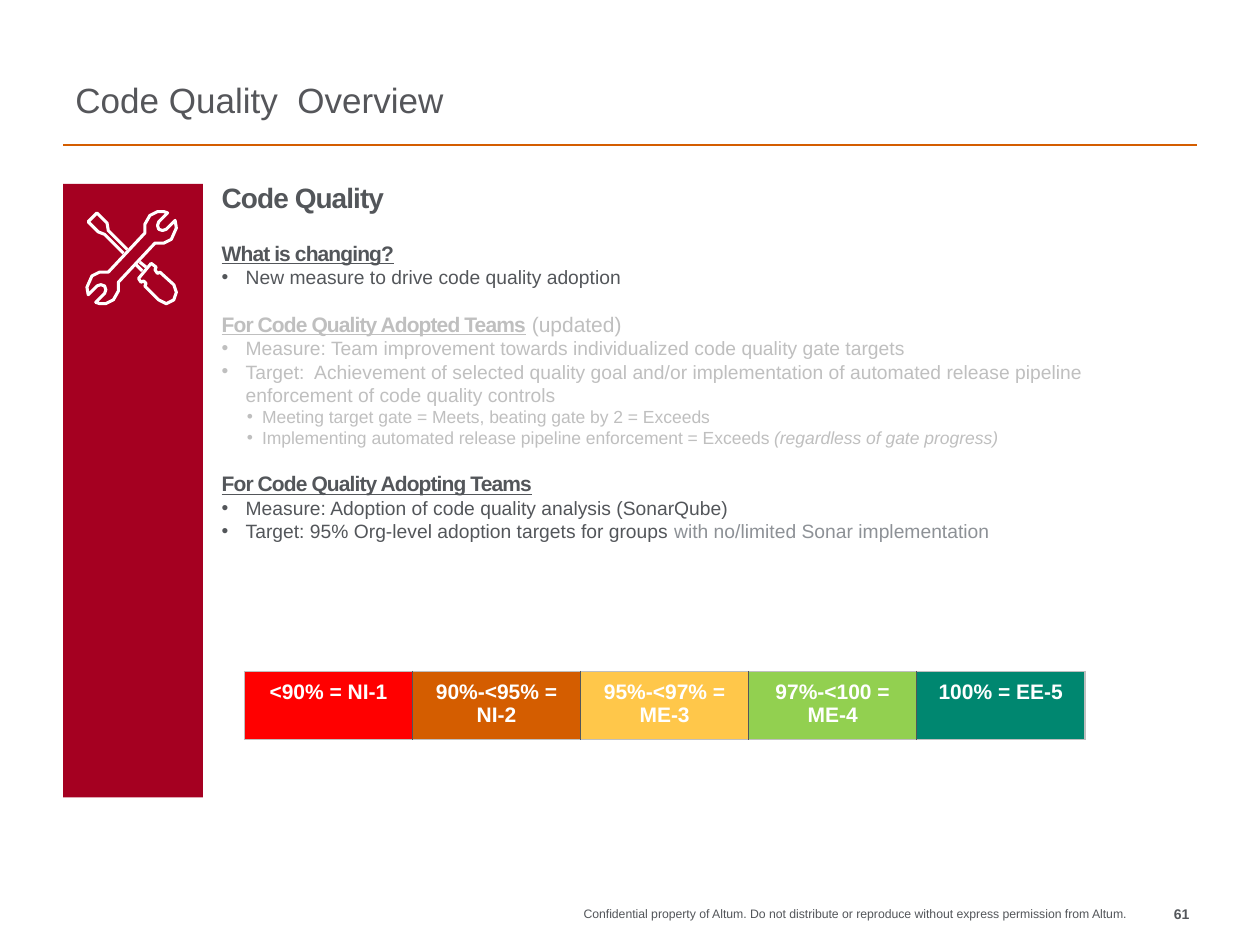
"""Build the Code Quality overview slide."""
from lxml import etree
from pptx import Presentation
from pptx.dml.color import RGBColor
from pptx.enum.shapes import MSO_CONNECTOR, MSO_SHAPE
from pptx.enum.text import MSO_ANCHOR, PP_ALIGN
from pptx.oxml.ns import qn
from pptx.util import Inches, Pt

LINE, RECT = MSO_CONNECTOR.STRAIGHT, MSO_SHAPE.RECTANGLE
LEFT, MID, RIGHT = PP_ALIGN.LEFT, PP_ALIGN.CENTER, PP_ALIGN.RIGHT
TOP, BASE = MSO_ANCHOR.TOP, MSO_ANCHOR.BOTTOM
DARK = RGBColor(0x53, 0x56, 0x5A)
TITLE = RGBColor(0x55, 0x56, 0x5A)
PALE = RGBColor(0xBF, 0xBF, 0xBF)
GREY = RGBColor(0x8D, 0x91, 0x96)
WHITE = RGBColor(0xFF, 0xFF, 0xFF)
ORANGE = RGBColor(0xD4, 0x5D, 0x00)
WINE = RGBColor(0xA5, 0x00, 0x21)
RED = RGBColor(0xFF, 0x00, 0x00)
GOLD = RGBColor(0xFF, 0xC7, 0x4A)
GREEN = RGBColor(0x92, 0xD0, 0x50)
TEAL = RGBColor(0x00, 0x87, 0x70)
FONT = "Arial"

STYLES = {
    "title": dict(size=16, bold=True, tight=True),
    "head": dict(size=12, bold=True, tight=True, line=True),
    "gap": dict(size=12, bold=True, tight=True),
    "note": dict(size=12),
    "item": dict(size=11),
    "sub": dict(size=10),
    "slant": dict(size=10, italic=True),
}
INDENTS = {"item": (0.19, -0.19), "sub": (0.32, -0.12)}
BODY = [
    [("title", "Code Quality", DARK)],
    [("head", "What is changing?", DARK)],
    [("item", "New measure to drive code quality adoption", DARK)],
    [("head", "For Code Quality Adopted Teams", PALE), ("gap", " ", PALE),
     ("note", "(updated)", PALE)],
    [("item", "Measure: Team improvement towards individualized code quality "
      "gate targets", PALE)],
    [("item", "Target:  Achievement of selected quality goal and/or "
      "implementation of automated release pipeline enforcement of code "
      "quality controls", PALE)],
    [("sub", "Meeting target gate = Meets, beating gate by 2 = Exceeds", PALE)],
    [("sub", "Implementing automated release pipeline enforcement = Exceeds ",
      PALE), ("slant", "(regardless of gate progress)", PALE)],
    [("head", "For Code Quality Adopting Teams", DARK)],
    [("item", "Measure: Adoption of code quality analysis (SonarQube)", DARK)],
    [("item", "Target: 95% Org-level adoption targets for groups ", DARK),
     ("item", "with no/limited Sonar implementation", GREY)],
]
SCALE = [
    ("<90% = NI-1", RED), ("90%-<95% = NI-2", ORANGE),
    ("95%-<97% = ME-3", GOLD), ("97%-<100 = ME-4", GREEN),
    ("100% = EE-5", TEAL),
]
NOTICE = ("Confidential property of Altum. Do not distribute or reproduce "
          "without express permission from Altum.")
JAW = [(1.15, 1.85), (1.15, 1.78), (1.19, 1.71), (1.25, 1.68), (1.3, 1.68),
       (1.33, 1.69), (1.26, 1.76), (1.25, 1.79), (1.26, 1.82), (1.29, 1.83),
       (1.32, 1.82), (1.39, 1.75), (1.4, 1.81), (1.36, 1.9), (1.3, 1.93),
       (1.23, 1.93)]
WRENCH = JAW + [(2.09 - x, 4.09 - y) for x, y in JAW]
BLADE = [(1.01, 1.98), (0.86, 1.83), (0.85, 1.77), (0.77, 1.69), (0.7, 1.76),
         (0.78, 1.84), (0.83, 1.86), (0.98, 2.01)]
SHAFTS = [[(1.11, 2.08), (1.16, 2.12)], [(1.08, 2.1), (1.13, 2.15)]]
GRIP = [(1.2, 2.09), (1.24, 2.12), (1.23, 2.14), (1.25, 2.17), (1.27, 2.16),
        (1.38, 2.26), (1.4, 2.32), (1.38, 2.38), (1.32, 2.41), (1.26, 2.38),
        (1.15, 2.27), (1.16, 2.25), (1.14, 2.23), (1.12, 2.24), (1.1, 2.21)]
DRIVER = [(GRIP, True), (BLADE, False)] + [(part, False) for part in SHAFTS]
TOOLS = [DRIVER, [(WRENCH, True)]]


def add_run(par, text, color, size, bold=False, italic=False, line=False,
            tight=False):
    run = par.add_run()
    run.text = text
    font = run.font
    font.name, font.size, font.color.rgb = FONT, Pt(size), color
    font.bold, font.italic, font.underline = bold, italic, line
    if tight:
        run._r.get_or_add_rPr().set("spc", "-50")


def add_box(slide, area, pads=(0, 0), anchor=TOP):
    frame = slide.shapes.add_textbox(*map(Inches, area)).text_frame
    frame.word_wrap, frame.vertical_anchor = True, anchor
    frame.margin_left = frame.margin_right = Inches(pads[0])
    frame.margin_top = frame.margin_bottom = Inches(pads[1])
    return frame


def add_label(slide, area, text, color, size, align=LEFT, bold=False, **box):
    par = add_box(slide, area, **box).paragraphs[0]
    par.alignment = align
    add_run(par, text, color, size, bold)
    return par


def add_body(slide):
    frame = add_box(slide, (1.61, 1.46, 7.93, 4.87), pads=(0.15, 0))
    for i, runs in enumerate(BODY):
        par = frame.add_paragraph() if i else frame.paragraphs[0]
        kind = runs[0][0]
        if kind == "title":
            par.line_spacing, par.space_after = 0.9, Pt(2)
        if kind == "head":
            par.space_before = Pt(13)
        if kind in INDENTS:
            left, hang = INDENTS[kind]
            props = par._p.get_or_add_pPr()
            props.set("marL", str(Inches(left)))
            props.set("indent", str(Inches(hang)))
            etree.SubElement(props, qn("a:buFont")).set("typeface", FONT)
            etree.SubElement(props, qn("a:buChar")).set("char", "•")
        for style, text, color in runs:
            add_run(par, text, color, **STYLES[style])


def add_icon(slide):
    for tool in TOOLS:
        pen = None
        for points, closed in tool:
            spots = [(Inches(x), Inches(y)) for x, y in points]
            if pen:
                pen.move_to(*spots[0])
            else:
                pen = slide.shapes.build_freeform(*spots[0])
            pen.add_line_segments(spots[1:], close=closed)
        shape = pen.convert_to_shape()
        shape.shadow.inherit = False
        shape.fill.background()
        shape.line.color.rgb, shape.line.width = WHITE, Pt(1.75)


def add_edge(props, side, color):
    edge = etree.SubElement(props, qn("a:" + side), w=str(Pt(1)))
    fill = etree.SubElement(edge, qn("a:solidFill"))
    etree.SubElement(fill, qn("a:srgbClr"), val=str(color))


def add_scale(slide):
    count = len(SCALE)
    area = map(Inches, (1.94, 5.33, 6.67, 0.53))
    table = slide.shapes.add_table(1, count, *area).table
    for i, (text, color) in enumerate(SCALE):
        cell = table.cell(0, i)
        cell.margin_left = cell.margin_right = Inches(0.1)
        cell.margin_top = cell.margin_bottom = Inches(0.07)
        par = cell.text_frame.paragraphs[0]
        par.alignment = MID
        add_run(par, text, WHITE, 12, bold=True)
        props = cell._tc.get_or_add_tcPr()
        add_edge(props, "lnL", DARK if i else PALE)
        add_edge(props, "lnR", DARK if i < count - 1 else PALE)
        add_edge(props, "lnT", PALE)
        add_edge(props, "lnB", PALE)
        cell.fill.solid()
        cell.fill.fore_color.rgb = color


def main():
    deck = Presentation()
    deck.slide_width, deck.slide_height = Inches(10), Inches(7.5)
    slide = deck.slides.add_slide(deck.slide_layouts[6])
    ends = map(Inches, (0.5, 1.15, 9.5, 1.15))
    rule = slide.shapes.add_connector(LINE, *ends)
    rule.line.color.rgb, rule.line.width = ORANGE, Pt(1)
    etree.SubElement(rule._element.spPr, qn("a:effectLst"))
    add_label(slide, (3.62, 7.19, 5.32, 0.23), NOTICE, DARK, 7, RIGHT)
    add_label(slide, (8.94, 7.19, 0.5, 0.23), "61", DARK, 8, RIGHT, bold=True)
    add_body(slide)
    area = map(Inches, (0.5, 1.46, 1.11, 4.87))
    band = slide.shapes.add_shape(RECT, *area)
    band.shadow.inherit = False
    band.fill.solid()
    band.fill.fore_color.rgb = WINE
    band.line.fill.background()
    add_icon(slide)
    title = add_label(slide, (0.5, 0.33, 9.18, 0.68), "Code Quality  Overview",
                      TITLE, 20, pads=(0.1, 0.05), anchor=BASE)
    title.line_spacing = 0.9
    add_scale(slide)
    deck.save("out.pptx")


if __name__ == "__main__":
    main()
